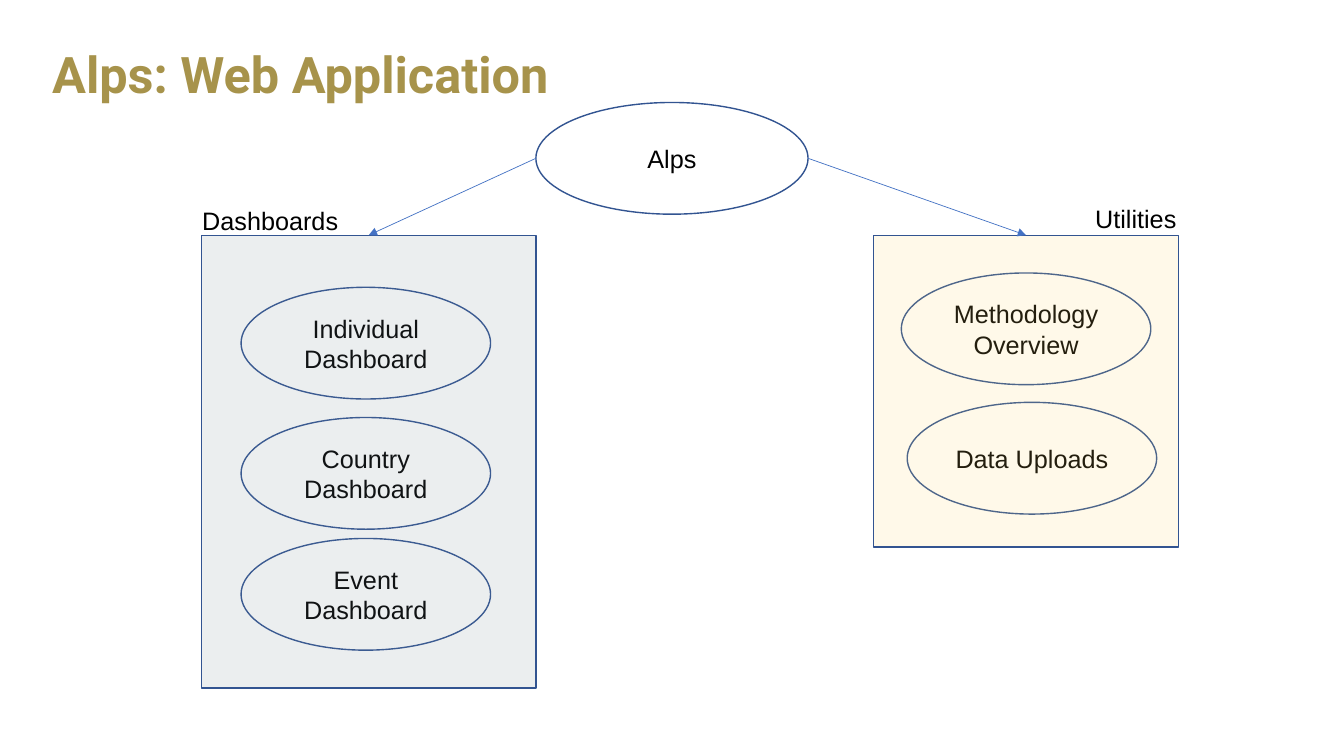
from dataclasses import dataclass

from lxml import etree
from pptx import Presentation
from pptx.dml.color import RGBColor
from pptx.enum.shapes import MSO_CONNECTOR, MSO_SHAPE
from pptx.enum.text import MSO_ANCHOR, PP_ALIGN
from pptx.oxml.ns import qn
from pptx.util import Inches, Pt

OVAL, RECTANGLE = MSO_SHAPE.OVAL, MSO_SHAPE.RECTANGLE
STRAIGHT = MSO_CONNECTOR.STRAIGHT
LEFT, CENTER = PP_ALIGN.LEFT, PP_ALIGN.CENTER
TOP, MIDDLE = MSO_ANCHOR.TOP, MSO_ANCHOR.MIDDLE
TOP_SIDE = 0


@dataclass(frozen=True)
class Theme:
    title_font: str = "Roboto"
    body_font: str = "Arial"
    title_size: int = 36
    body_size: int = 18
    title: str = "A7934B"
    text: str = "000000"
    node: str = "FFFFFF"
    outline: str = "325491"
    arrow: str = "4472C4"
    dashboards: str = "768792"
    utilities: str = "FFD966"
    panel_opacity: int = 14000
    outline_width: float = 1
    arrow_width: float = 0.5


theme = Theme()
presentation = Presentation()
presentation.slide_width = Inches(13.33)
presentation.slide_height = Inches(7.5)
column = presentation.slide_width / 160
row = presentation.slide_height / 90
slide = presentation.slides.add_slide(presentation.slide_layouts[5])


def grid(left, top, width, height):
    return [round(left * column), round(top * row), round(width * column), round(height * row)]


def write(shape, text, font=theme.body_font, size=theme.body_size, color=theme.text,
          bold=False, align=LEFT, anchor=TOP, spacing=1.0):
    frame = shape.text_frame
    frame.word_wrap = True
    frame.vertical_anchor = anchor
    paragraph = frame.paragraphs[0]
    paragraph.alignment = align
    paragraph.line_spacing = spacing
    run = paragraph.add_run()
    run.text = text
    run.font.name = font
    run.font.size = Pt(size)
    run.font.bold = bold
    run.font.color.rgb = RGBColor.from_string(color)


title = slide.shapes.title
title.left, title.top, title.width, title.height = grid(5, 2.6, 150, 13.3)
write(title, "Alps: Web Application", font=theme.title_font, size=theme.title_size,
      color=theme.title, bold=True, anchor=MIDDLE, spacing=0.9)

root_left, root_top, root_width, node_height = 63.8, 12.2, 32.4, 13.3
node_width = 29.7
nodes = [
    ("Alps", root_left, root_top, root_width),
    ("Individual Dashboard", 28.7, 34.2, node_width),
    ("Country Dashboard", 28.7, 49.7, node_width),
    ("Event Dashboard", 28.7, 64.1, node_width),
    ("Methodology Overview", 107.3, 32.5, node_width),
    ("Data Uploads", 108, 47.9, node_width),
]
for text, left, top, width in nodes:
    node = slide.shapes.add_shape(OVAL, *grid(left, top, width, node_height))
    node.shadow.inherit = False
    node.fill.solid()
    node.fill.fore_color.rgb = RGBColor.from_string(theme.node)
    node.line.color.rgb = RGBColor.from_string(theme.outline)
    node.line.width = Pt(theme.outline_width)
    write(node, text, align=CENTER, anchor=MIDDLE)

panels = [
    ("Dashboards", theme.dashboards, (24, 28, 39.8, 53.9), (22.9, 23.9, 32.4, 4.8), root_left),
    ("Utilities", theme.utilities, (104, 28, 36.3, 37.1), (129.2, 23.6, 14.7, 4.8),
     root_left + root_width),
]
for text, color, panel_area, label_area, arrow_column in panels:
    panel = slide.shapes.add_shape(RECTANGLE, *grid(*panel_area))
    panel.shadow.inherit = False
    panel.fill.solid()
    panel.fill.fore_color.rgb = RGBColor.from_string(color)
    panel_color = panel.fill._xPr.find(qn("a:solidFill"))[0]
    etree.SubElement(panel_color, qn("a:alpha"), val=str(theme.panel_opacity))
    panel.line.color.rgb = RGBColor.from_string(theme.outline)
    panel.line.width = Pt(theme.outline_width)

    start_left, start_top, _, _ = grid(arrow_column, root_top + node_height / 2, 0, 0)
    arrow = slide.shapes.add_connector(STRAIGHT, start_left, start_top, panel.left, panel.top)
    arrow.end_connect(panel, TOP_SIDE)
    arrow.line.color.rgb = RGBColor.from_string(theme.arrow)
    arrow.line.width = Pt(theme.arrow_width)
    etree.SubElement(arrow.line._get_or_add_ln(), qn("a:tailEnd"), type="triangle")
    etree.SubElement(arrow._element.spPr, qn("a:effectLst"))

    label = slide.shapes.add_textbox(*grid(*label_area))
    write(label, text)

presentation.save("out.pptx")
